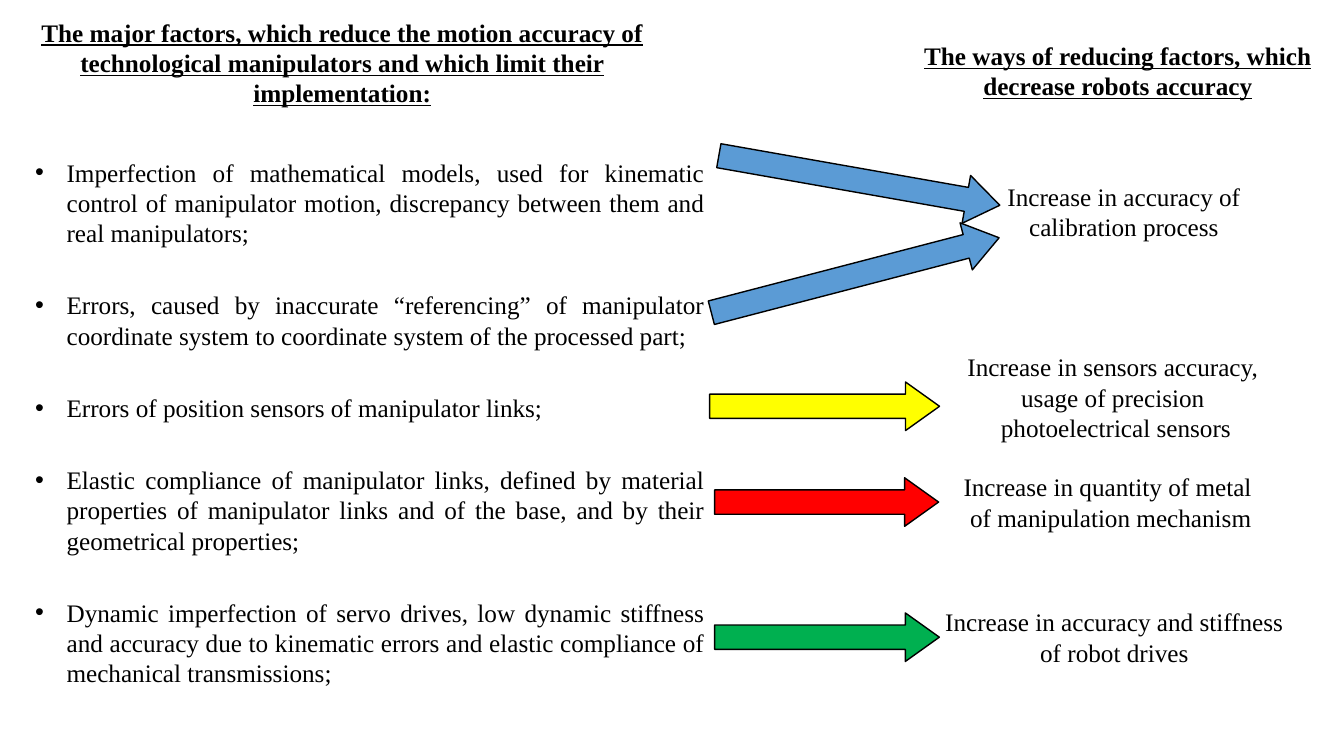
from dataclasses import dataclass

from lxml import etree
from pptx import Presentation
from pptx.dml.color import RGBColor
from pptx.enum.shapes import MSO_SHAPE
from pptx.enum.text import MSO_ANCHOR, MSO_AUTO_SIZE, PP_ALIGN
from pptx.oxml.ns import qn
from pptx.util import Pt

RIGHT_ARROW = MSO_SHAPE.RIGHT_ARROW
TOP, MIDDLE = MSO_ANCHOR.TOP, MSO_ANCHOR.MIDDLE
CENTER, JUSTIFY = PP_ALIGN.CENTER, PP_ALIGN.JUSTIFY
GROW = MSO_AUTO_SIZE.SHAPE_TO_FIT_TEXT
FONT_NAME = "Times New Roman"
TEXT_SIZE = 18
BLACK, BLUE, YELLOW, RED, GREEN = "000000", "5B9BD5", "FFFF00", "FF0000", "00B050"
BULLET_INDENT = 22.5
FACTOR_GAP = 30
ARROW_HEIGHT = 34.7


@dataclass(frozen=True)
class Label:
    """A block of text with its place in points."""

    left: float
    top: float
    width: float
    height: float
    lines: tuple[str, ...]
    heading: bool = False
    bulleted: bool = False
    wrap: bool = True


@dataclass(frozen=True)
class Arrow:
    """A block arrow from a factor to its remedy, in points and degrees."""

    left: float
    top: float
    width: float
    fill: str
    rotation: float = 0


TITLE = Label(18, 8.6, 452.9, 72.7, (
    "The major factors, which reduce the motion accuracy of technological "
    "manipulators and which limit their implementation:",
), heading=True)

LABELS = (
    Label(18, 106.6, 492.5, 390.2, (
        "Imperfection of mathematical models, used for kinematic control of "
        "manipulator motion, discrepancy between them and real manipulators;",
        "Errors, caused by inaccurate “referencing” of manipulator coordinate "
        "system to coordinate system of the processed part;",
        "Errors of position sensors of manipulator links;",
        "Elastic compliance of manipulator links, defined by material properties "
        "of manipulator links and of the base, and by their geometrical properties;",
        "Dynamic imperfection of servo drives, low dynamic stiffness and accuracy "
        "due to kinematic errors and elastic compliance of mechanical transmissions;",
    ), bulleted=True),
    Label(647.3, 25.2, 302.4, 50.9, (
        "The ways of reducing factors, which decrease robots accuracy",
    ), heading=True),
    Label(706.3, 126, 193, 50.9, ("Increase in accuracy of calibration process",)),
    Label(682.6, 247.7, 229, 72.7, (
        "Increase in sensors accuracy, ",
        "usage of precision ",
        "photoelectrical sensors",
    ), wrap=False),
    Label(622.1, 333.4, 342.7, 50.9, (
        "Increase in quantity of metal ",
        "of manipulation mechanism",
    )),
    Label(658.8, 429.8, 274.3, 50.9, (
        "Increase in accuracy and stiffness of robot drives",
    )),
)

ARROWS = (
    Arrow(511.9, 111.6, 203.8, BLUE, 10),
    Arrow(504.7, 179.3, 212.4, BLUE, 345.4),
    Arrow(506.9, 272.9, 164.2, YELLOW),
    Arrow(510.5, 341.3, 160, RED),
    Arrow(510.5, 437.8, 160.5, GREEN),
)


def color(code: str) -> RGBColor:
    """Turn a hex string into a colour."""
    return RGBColor.from_string(code)


def add_bullet(para) -> None:
    """Give a paragraph a round bullet with a hanging indent."""
    properties = para._p.get_or_add_pPr()
    properties.set("marL", str(Pt(BULLET_INDENT)))
    properties.set("indent", str(-Pt(BULLET_INDENT)))
    etree.SubElement(properties, qn("a:buFont"), typeface="Arial")
    etree.SubElement(properties, qn("a:buChar"), char="•")


def write_label(box, label: Label) -> None:
    """Place a text shape and fill it with a label's lines."""
    box.left, box.top = Pt(label.left), Pt(label.top)
    box.width, box.height = Pt(label.width), Pt(label.height)
    frame = box.text_frame
    frame.word_wrap = label.wrap
    frame.auto_size = GROW
    frame.vertical_anchor = MIDDLE if label.bulleted else TOP
    for index, line in enumerate(label.lines):
        para = frame.add_paragraph() if index else frame.paragraphs[0]
        para.alignment = JUSTIFY if label.bulleted else CENTER
        if label.bulleted:
            add_bullet(para)
            para.space_before = Pt(FACTOR_GAP if index else 0)
        span = para.add_run()
        span.text = line
        span.font.name = FONT_NAME
        span.font.size = Pt(TEXT_SIZE)
        span.font.bold = label.heading
        span.font.underline = label.heading
        span.font.color.rgb = color(BLACK)


def add_label(page, label: Label) -> None:
    """Add a text box for a label."""
    box = page.shapes.add_textbox(
        Pt(label.left), Pt(label.top), Pt(label.width), Pt(label.height))
    write_label(box, label)


def add_arrow(page, arrow: Arrow) -> None:
    """Add an outlined block arrow."""
    shape = page.shapes.add_shape(
        RIGHT_ARROW, Pt(arrow.left), Pt(arrow.top), Pt(arrow.width), Pt(ARROW_HEIGHT))
    shape.adjustments[0] = 0.5
    shape.adjustments[1] = 0.7
    shape.rotation = arrow.rotation
    shape.shadow.inherit = False
    shape.fill.solid()
    shape.fill.fore_color.rgb = color(arrow.fill)
    shape.line.color.rgb = color(BLACK)
    shape.line.width = Pt(1)


def main() -> None:
    """Build the slide and save the deck."""
    deck = Presentation()
    deck.slide_width, deck.slide_height = Pt(960), Pt(540)
    page = deck.slides.add_slide(deck.slide_layouts[5])
    write_label(page.shapes.title, TITLE)
    for label in LABELS:
        add_label(page, label)
    for arrow in ARROWS:
        add_arrow(page, arrow)
    deck.save("out.pptx")


if __name__ == "__main__":
    main()
